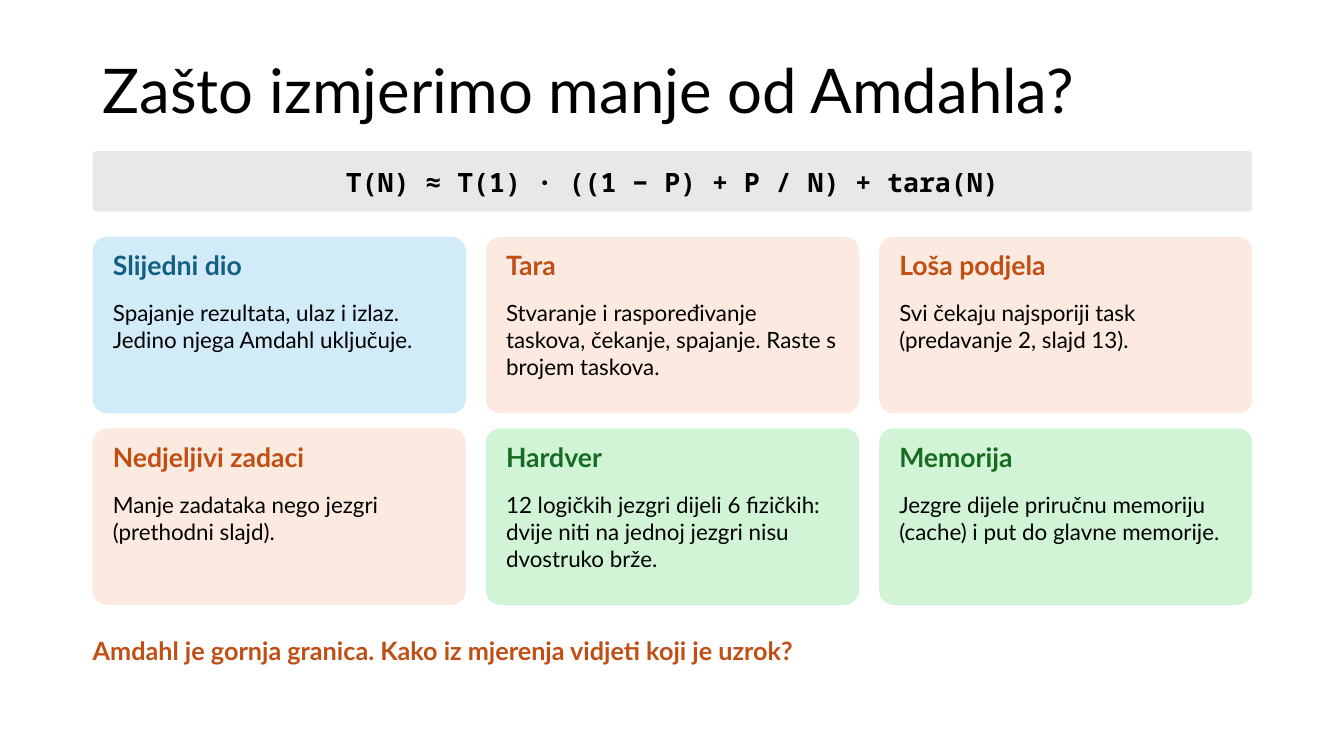
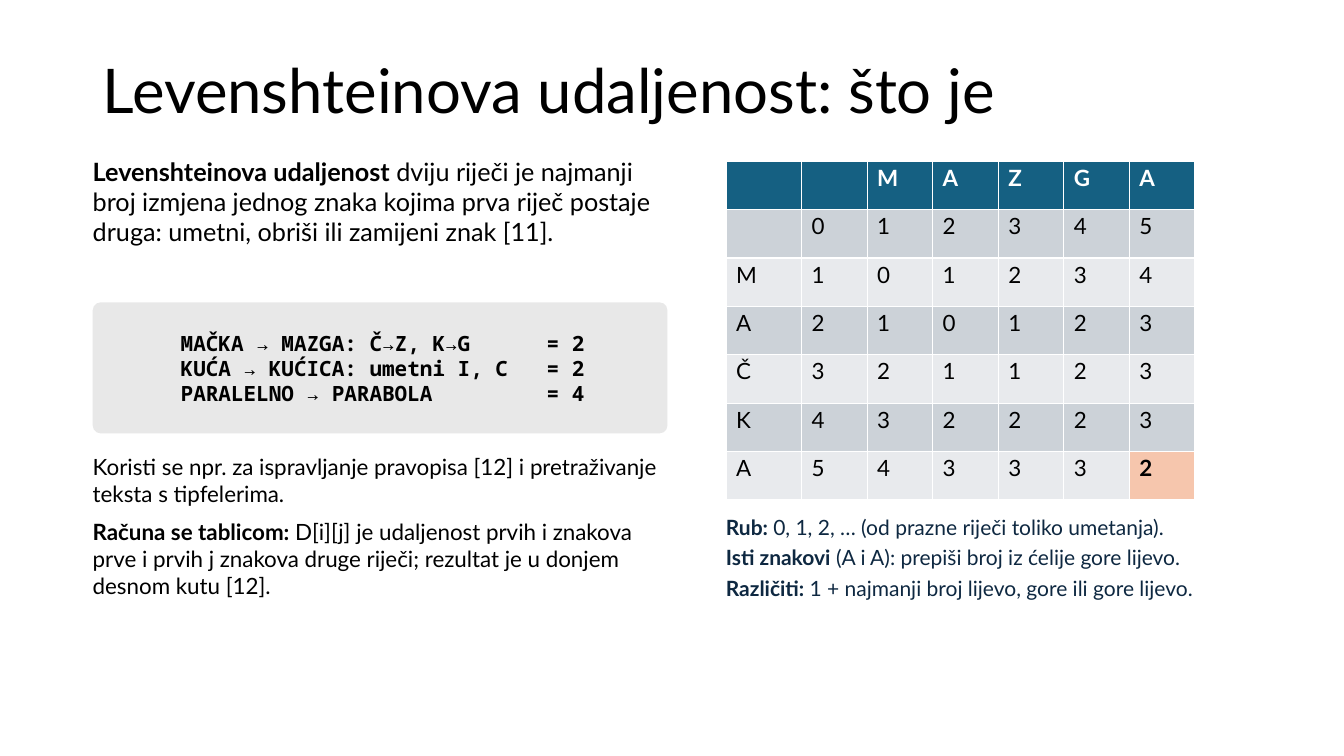
from lxml import etree
from pptx import Presentation, util as u
from pptx.dml.color import RGBColor
from pptx.enum import shapes, text
from pptx.oxml.ns import qn

PX = 9144  # 100 px to the inch
SANS, MONO = "Lato", "Noto Sans Mono"
BLACK, WHITE, NAVY = "000000", "FFFFFF", "0E2841"
BLUE, ORANGE, GREEN = "156082", "C04F15", "196B24"
GREY, PALE_BLUE, PALE_ORANGE, PALE_GREEN = "E8E8E8", "D1EBF8", "FCEAE0", "D1F4D6"
BAND_ROWS, RESULT = ("E8EAED", "CCD2D8"), "F6C6AD"

SLIDE_W, SLIDE_H = 1333, 750
LEFT, WIDTH = 92, 1150
TITLE_BOX = (LEFT, 40, WIDTH, 106)

CAUSES_TITLE = "Zašto izmjerimo manje od Amdahla?"
FORMULA = "T(N) ≈ T(1) · ((1 − P) + P / N) + tara(N)"
CAUSES = [
    ("Slijedni dio", BLUE, PALE_BLUE,
     "Spajanje rezultata, ulaz i izlaz. Jedino njega Amdahl uključuje."),
    ("Tara", ORANGE, PALE_ORANGE,
     "Stvaranje i raspoređivanje taskova, čekanje, spajanje. Raste s brojem taskova."),
    ("Loša podjela", ORANGE, PALE_ORANGE,
     "Svi čekaju najsporiji task (predavanje 2, slajd 13)."),
    ("Nedjeljivi zadaci", ORANGE, PALE_ORANGE,
     "Manje zadataka nego jezgri (prethodni slajd)."),
    ("Hardver", GREEN, PALE_GREEN,
     "12 logičkih jezgri dijeli 6 fizičkih: dvije niti na jednoj jezgri nisu dvostruko brže."),
    ("Memorija", GREEN, PALE_GREEN,
     "Jezgre dijele priručnu memoriju (cache) i put do glavne memorije."),
]
QUESTION = "Amdahl je gornja granica. Kako iz mjerenja vidjeti koji je uzrok?"

# A paragraph is a list of (text, bold) runs
DISTANCE_TITLE = "Levenshteinova udaljenost: što je"
DEFINITION = [[
    ("Levenshteinova udaljenost", True),
    (" dviju riječi je najmanji broj izmjena jednog znaka kojima prva riječ postaje "
     "druga: umetni, obriši ili zamijeni znak [11].", False)]]
EXAMPLES = [
    ("MAČKA → MAZGA: Č→Z, K→G", 2),
    ("KUĆA → KUĆICA: umetni I, C", 2),
    ("PARALELNO → PARABOLA", 4),
]
USES = [
    [("Koristi se npr. za ispravljanje pravopisa [12] i pretraživanje teksta s tipfelerima.",
      False)],
    [("Računa se tablicom: ", True),
     ("D[i][j] je udaljenost prvih i znakova prve i prvih j znakova druge riječi; "
      "rezultat je u donjem desnom kutu [12].", False)],
]
DISTANCES = [
    ["", "", "M", "A", "Z", "G", "A"],
    ["", 0, 1, 2, 3, 4, 5],
    ["M", 1, 0, 1, 2, 3, 4],
    ["A", 2, 1, 0, 1, 2, 3],
    ["Č", 3, 2, 1, 1, 2, 3],
    ["K", 4, 3, 2, 2, 2, 3],
    ["A", 5, 4, 3, 3, 3, 2],
]
RULES = [
    [("Rub: ", True), ("0, 1, 2, … (od prazne riječi toliko umetanja).", False)],
    [("Isti znakovi", True), (" (A i A): prepiši broj iz ćelije gore lijevo.", False)],
    [("Različiti: ", True), ("1 + najmanji broj lijevo, gore ili gore lijevo.", False)],
]


def rgb(value):
    return RGBColor.from_string(value)


def px(*values):
    return [u.Emu(v * PX) for v in values]


def assign(obj, **values):
    for name, value in values.items():
        setattr(obj, name, value)


def margins(obj, left, top, right, bottom):
    sides = ("left", "top", "right", "bottom")
    assign(obj, **{f"margin_{s}": v for s, v in zip(sides, px(left, top, right, bottom))})


def write(tf, paragraphs, size, color=BLACK, font=SANS, tab=None, **layout):
    for i, runs in enumerate(paragraphs):
        p = tf.paragraphs[0] if i == 0 else tf.add_paragraph()
        if tab:
            tabs = etree.SubElement(p._p.get_or_add_pPr(), qn("a:tabLst"))
            etree.SubElement(tabs, qn("a:tab"), pos=str(tab * PX), algn="l")
        assign(p, **layout)
        for content, bold in runs:
            r = p.add_run()
            r.text = content
            assign(r.font, name=font, size=u.Pt(size), bold=bold)
            r.font.color.rgb = rgb(color)


def new_slide(prs, title):
    s = prs.slides.add_slide(prs.slide_layouts[5])
    sp = s.shapes.title
    assign(sp, **dict(zip(("left", "top", "width", "height"), px(*TITLE_BOX))))
    tf = sp.text_frame
    assign(tf, auto_size=text.MSO_AUTO_SIZE.NONE, word_wrap=True,
           vertical_anchor=text.MSO_ANCHOR.MIDDLE)
    write(tf, [[(title, False)]], 44, alignment=text.PP_ALIGN.LEFT, line_spacing=0.9)
    return s


def text_box(s, box, paragraphs, size, color=BLACK, **layout):
    tf = s.shapes.add_textbox(*px(*box)).text_frame
    assign(tf, word_wrap=True, auto_size=text.MSO_AUTO_SIZE.SHAPE_TO_FIT_TEXT)
    margins(tf, 0, 0, 0, 0)
    write(tf, paragraphs, size, color, **layout)


def panel(s, box, fill, corner):
    sp = s.shapes.add_shape(shapes.MSO_SHAPE.ROUNDED_RECTANGLE, *px(*box))
    sp.adjustments[0] = corner
    sp.shadow.inherit = False
    sp.fill.solid()
    sp.fill.fore_color.rgb = rgb(fill)
    sp.line.fill.background()
    return sp


def code_band(s, box, paragraphs, size, inset=15, **layout):
    tf = panel(s, box, GREY, 0.06).text_frame
    assign(tf, word_wrap=True, vertical_anchor=text.MSO_ANCHOR.MIDDLE)
    margins(tf, inset, 5, 15, 5)
    write(tf, paragraphs, size, font=MONO, **layout)


def distance_table(s, left, top):
    widths, row_h = [75] + [65] * 6, 48
    count = len(DISTANCES)
    table = s.shapes.add_table(count, len(widths), *px(
        left, top, sum(widths), row_h * count)).table
    for column, width in zip(table.columns, px(*widths)):
        column.width = width
    for i, row in enumerate(DISTANCES):
        table.rows[i].height = px(row_h)[0]
        for j, value in enumerate(row):
            header, result = i == 0, i == j == count - 1
            cell = table.cell(i, j)
            margins(cell, 10, 3, 10, 3)
            cell.fill.solid()
            cell.fill.fore_color.rgb = rgb(
                BLUE if header else RESULT if result else BAND_ROWS[i % 2])
            if value != "":
                write(cell.text_frame, [[(str(value), header or result)]], 16,
                      WHITE if header else BLACK)


def causes_slide(prs):
    s = new_slide(prs, CAUSES_TITLE)
    code_band(s, (LEFT, 150, WIDTH, 60), [[(FORMULA, True)]], 19,
              alignment=text.PP_ALIGN.CENTER)
    columns, gap_x, gap_y, card_h, pad = 3, 20, 15, 175, 20
    card_w = (WIDTH - gap_x * (columns - 1)) // columns
    for i, (heading, color, fill, body) in enumerate(CAUSES):
        row, column = divmod(i, columns)
        x = LEFT + column * (card_w + gap_x)
        y = 235 + row * (card_h + gap_y)
        panel(s, (x, y, card_w, card_h), fill, 0.08)
        inner_x, inner_w = x + pad, card_w - 2 * pad
        text_box(s, (inner_x, y + 12, inner_w, 45), [[(heading, True)]], 19, color)
        text_box(s, (inner_x, y + 62, inner_w, 105), [[(body, False)]], 16,
                 space_after=u.Pt(4))
    text_box(s, (LEFT, 630, WIDTH, 50), [[(QUESTION, True)]], 18, ORANGE)


def distance_slide(prs):
    s = new_slide(prs, DISTANCE_TITLE)
    text_w, table_x = 570, 720
    text_box(s, (LEFT, 155, text_w, 130), DEFINITION, 18)
    examples = [[(f"{words}\t= {distance}", True)] for words, distance in EXAMPLES]
    code_band(s, (LEFT, 300, text_w, 130), examples, 15, inset=85, tab=363,
              alignment=text.PP_ALIGN.LEFT)
    text_box(s, (LEFT, 450, text_w, 220), USES, 16, space_after=u.Pt(8))
    distance_table(s, table_x, 160)
    text_box(s, (table_x, 510, 530, 170), RULES, 15, NAVY, space_after=u.Pt(4))


def main():
    prs = Presentation()
    prs.slide_width, prs.slide_height = px(SLIDE_W, SLIDE_H)
    causes_slide(prs)
    distance_slide(prs)
    prs.save("out.pptx")


if __name__ == "__main__":
    main()
